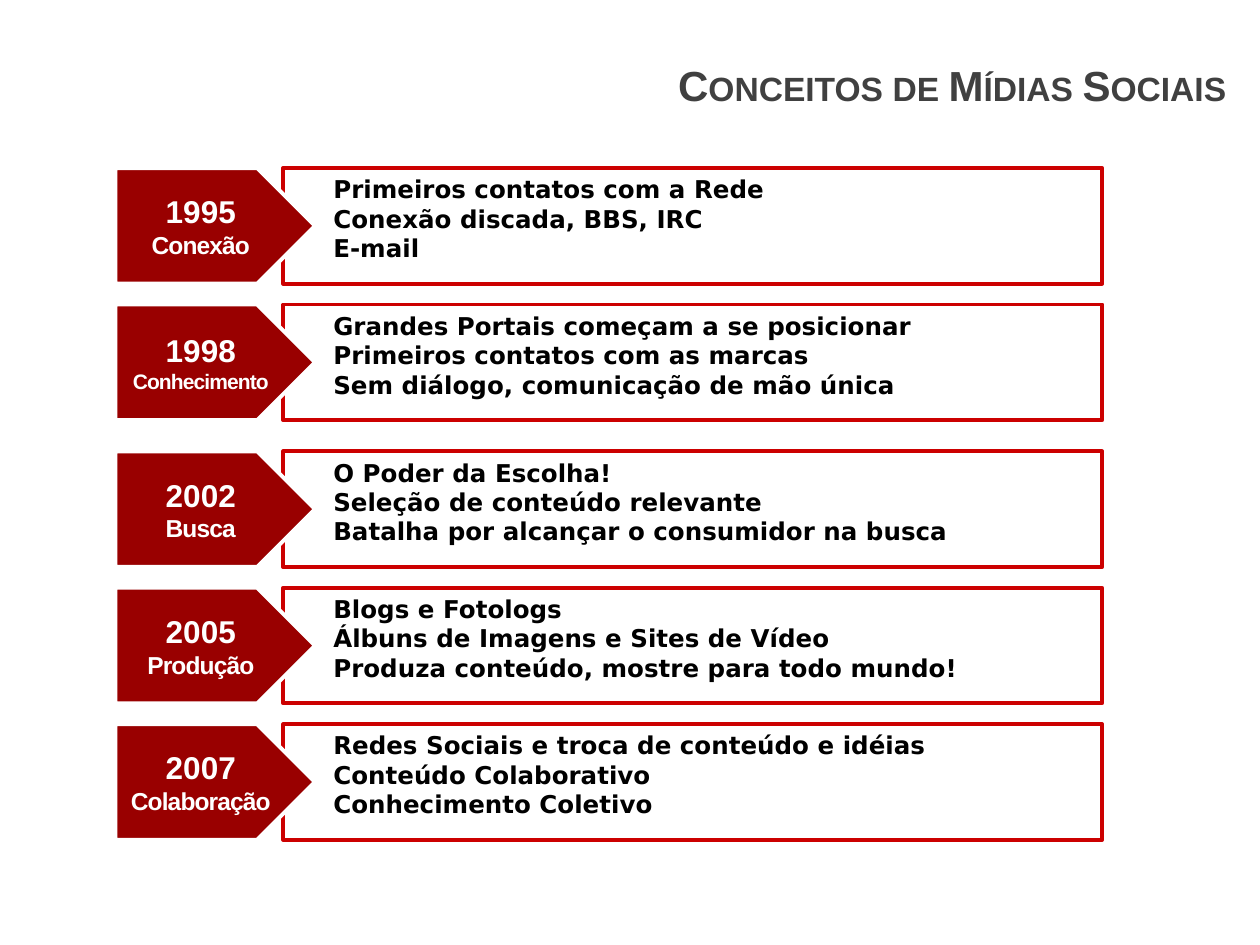
import pptx
import pptx.dml.color
import pptx.enum.shapes
import pptx.enum.text
import pptx.util
from pptx.util import Cm, Pt

RGBColor = pptx.dml.color.RGBColor
MSO_SHAPE = pptx.enum.shapes.MSO_SHAPE
MSO_ANCHOR = pptx.enum.text.MSO_ANCHOR
PP_ALIGN = pptx.enum.text.PP_ALIGN

WHITE = RGBColor(0xFF, 0xFF, 0xFF)
BLACK = RGBColor(0, 0, 0)
GREY = RGBColor(0x40, 0x40, 0x40)
RED = RGBColor(0xCC, 0, 0)
DARK_RED = RGBColor(0x99, 0, 0)

# Year, label, label size, lines of text
STAGES = [
    ("1995", "Conexão", 14,
     ["Primeiros contatos com a Rede", "Conexão discada, BBS, IRC", "E-mail"]),
    ("1998", "Conhecimento", 12,
     ["Grandes Portais começam a se posicionar",
      "Primeiros contatos com as marcas",
      "Sem diálogo, comunicação de mão única"]),
    ("2002", "Busca", 14,
     ["O Poder da Escolha!", "Seleção de conteúdo relevante",
      "Batalha por alcançar o consumidor na busca"]),
    ("2005", "Produção", 14,
     ["Blogs e Fotologs", "Álbuns de Imagens e Sites de Vídeo",
      "Produza conteúdo, mostre para todo mundo!"]),
    ("2007", "Colaboração", 14,
     ["Redes Sociais e troca de conteúdo e idéias",
      "Conteúdo Colaborativo", "Conhecimento Coletivo"]),
]
ROW_PITCH = 2.75
ROW_HEIGHT = 2.33
PERIOD_GAP = 0.21  # extra space between the first two stages and the rest


def set_font(font, name, size, color):
    font.name, font.size, font.bold = name, Pt(size), True
    font.color.rgb = color


def add_box(shapes, kind, x, y, w, h, fill, line):
    sp = shapes.add_shape(kind, Cm(x), Cm(y), Cm(w), Cm(h))
    sp.shadow.inherit = False
    sp.fill.solid()
    sp.fill.fore_color.rgb = fill
    sp.line.color.rgb = line
    sp.line.width = Pt(2.25)
    return sp


def add_title(slide, x, y, w, h):
    tf = slide.shapes.add_textbox(Cm(x), Cm(y), Cm(w), Cm(h)).text_frame
    tf.word_wrap = True
    tf.text = "Conceitos de Mídias Sociais"
    p = tf.paragraphs[0]
    p.alignment = PP_ALIGN.RIGHT
    r = p.runs[0]
    set_font(r.font, "Arial", 24, GREY)
    r.font._element.set("cap", "small")


def add_description(shapes, x, y, w, h, lines):
    sp = add_box(shapes, MSO_SHAPE.RECTANGLE, x, y, w, h, WHITE, RED)
    tf = sp.text_frame
    tf.vertical_anchor = MSO_ANCHOR.TOP
    tf.text = "\n".join(lines)
    for p in tf.paragraphs:
        p.alignment = PP_ALIGN.LEFT
        p._p.get_or_add_pPr().set("marL", str(Cm(0.76)))
        set_font(p.runs[0].font, "DejaVu Sans", 14, BLACK)


def add_year_arrow(shapes, x, y, w, h, year, label, label_size):
    sp = add_box(shapes, MSO_SHAPE.PENTAGON, x, y, w, h, DARK_RED, WHITE)
    tf = sp.text_frame
    tf.margin_left = tf.margin_top = tf.margin_right = tf.margin_bottom = 0
    tf.vertical_anchor = MSO_ANCHOR.MIDDLE
    tf.text = f"{year}\n{label}"
    for p, size in zip(tf.paragraphs, (18, label_size)):
        p.alignment = PP_ALIGN.CENTER
        set_font(p.runs[0].font, "Arial", size, WHITE)
    tf.paragraphs[1].runs[0].font._element.set("spc", "-50")


def add_stage(slide, x, y, w, h, stage):
    """Group a description box with the year arrow that overlaps its left side."""
    year, label, label_size, lines = stage
    shapes = slide.shapes.add_group_shape().shapes
    arrow_w, offset = 4.02, 3.38
    add_description(shapes, x + offset, y, w - offset, h, lines)
    add_year_arrow(shapes, x, y, arrow_w, h, year, label, label_size)


def add_timeline(slide, x, y, w):
    for i, stage in enumerate(STAGES):
        top = y + i * ROW_PITCH + (PERIOD_GAP if i >= 2 else 0)
        add_stage(slide, x, top, w, ROW_HEIGHT, stage)


def main():
    prs = pptx.Presentation()
    prs.slide_width, prs.slide_height = Cm(25.4), Cm(19.05)
    slide = prs.slides.add_slide(prs.slide_layouts[6])
    add_title(slide, 12.27, 1.07, 12.7, 1.3)
    add_timeline(slide, 2.33, 3.39, 19.89)
    prs.save("out.pptx")


if __name__ == "__main__":
    main()
